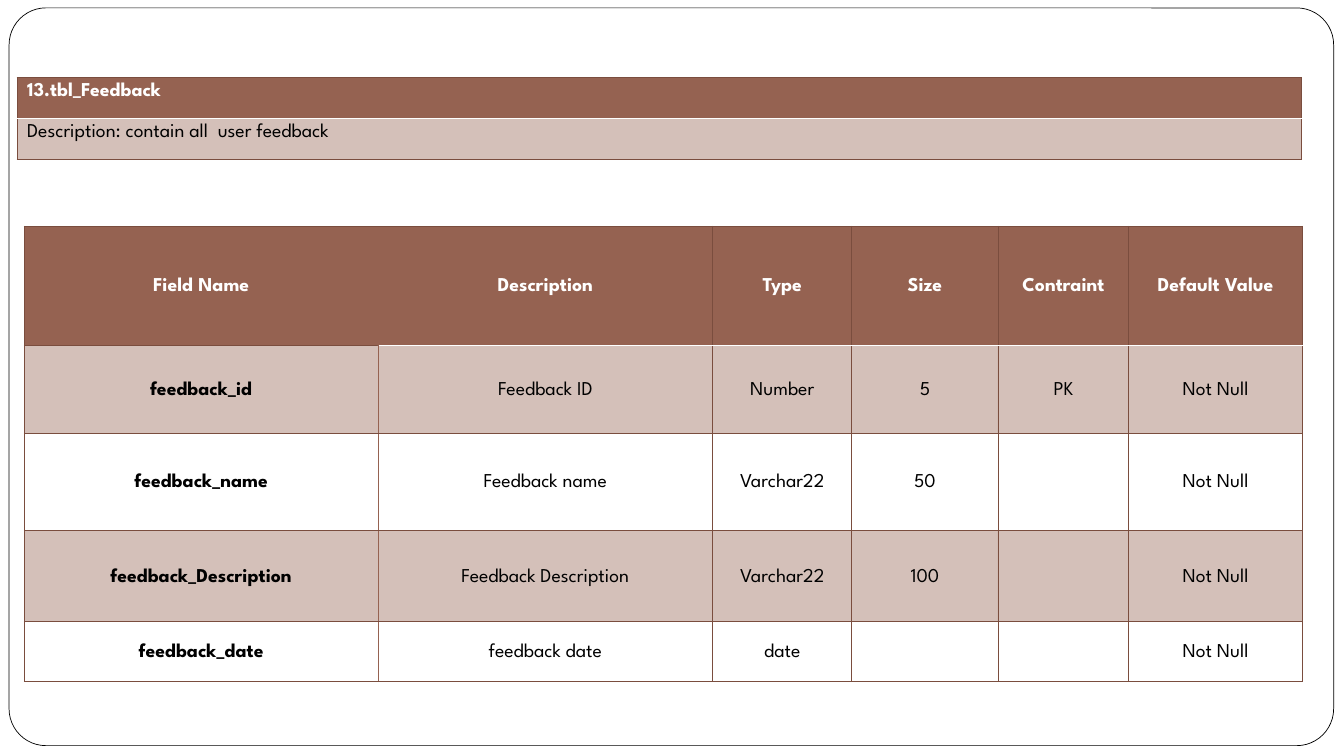
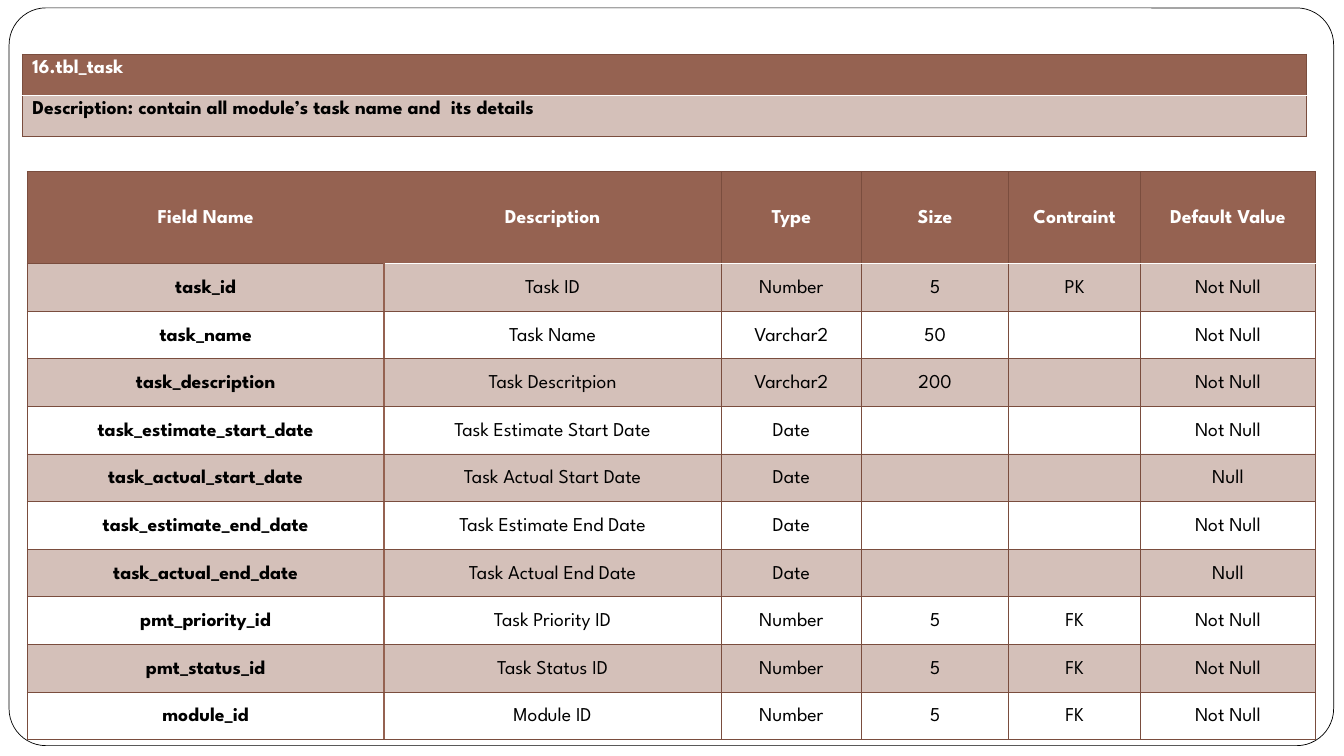
import pptx
import pptx.util
import pptx.dml.color
import pptx.enum.shapes
import pptx.enum.text
import pptx.oxml.ns
from lxml import etree

Cm = pptx.util.Cm
FONT = "League Spartan"
BROWN, EDGE, WHITE, BLACK = "956251", "7A4D3E", "FFFFFF", "000000"
TINT_ALPHA = 40
COLUMN_SHARES = [8.92, 8.43, 3.51, 3.68, 3.3, 4.37]
COLUMN_NAMES = ["Field Name", "Description", "Type", "Size", "Contraint", "Default Value"]
EDGE_LINE, INNER_LINE, WHITE_LINE = (EDGE, 0.75), (BROWN, 1), (WHITE, 1)

FEEDBACK = {
    "name": "13.tbl_Feedback",
    "description": "Description: contain all  user feedback",
    "description_bold": False,
    "banner_box": (0.43, 1.96, 32.36, 2.06),
    "fields_box": (0.61, 5.7, 32.21),
    "row_heights": [3, 2.21, 2.46, 2.29, 1.5],
    "fields": [
        ["feedback_id", "Feedback ID", "Number", "5", "PK", "Not Null"],
        ["feedback_name", "Feedback name", "Varchar22", "50", "", "Not Null"],
        ["feedback_Description", "Feedback Description", "Varchar22", "100", "", "Not Null"],
        ["feedback_date", "feedback date", "date", "", "", "Not Null"],
    ],
}
TASK = {
    "name": "16.tbl_task",
    "description": "Description: contain all module’s task name and  its details",
    "description_bold": True,
    "banner_box": (0.56, 1.37, 32.36, 2.06),
    "fields_box": (0.69, 4.32, 32.46),
    "row_heights": [2.32] + [1.2] * 10,
    "fields": [
        ["task_id", "Task ID", "Number", "5", "PK", "Not Null"],
        ["task_name", "Task Name", "Varchar2", "50", "", "Not Null"],
        ["task_description", "Task Descritpion", "Varchar2", "200", "", "Not Null"],
        ["task_estimate_start_date", "Task Estimate Start Date", "Date", "", "", "Not Null"],
        ["task_actual_start_date", "Task Actual Start Date", "Date", "", "", "Null"],
        ["task_estimate_end_date", "Task Estimate End Date", "Date", "", "", "Not Null"],
        ["task_actual_end_date", "Task Actual End Date", "Date", "", "", "Null"],
        ["pmt_priority_id", "Task Priority ID", "Number", "5", "FK", "Not Null"],
        ["pmt_status_id", "Task Status ID", "Number", "5", "FK", "Not Null"],
        ["module_id", "Module ID", "Number", "5", "FK", "Not Null"],
    ],
}


def color(value):
    return pptx.dml.color.RGBColor.from_string(value)


def write(cell, text, size=14, ink=BLACK, bold=False, align=None, spacing=None):
    paragraph = cell.text_frame.paragraphs[0]
    paragraph.alignment = align
    paragraph.line_spacing = spacing
    if text:
        run = paragraph.add_run()
        run.text = text
        run.font.name = FONT
        run.font.size = pptx.util.Pt(size)
        run.font.bold = bold
        run.font.color.rgb = color(ink)


def set_borders(cell, **lines):
    properties = cell._tc.get_or_add_tcPr()
    for side in "LRTB":
        line = lines.get(side, EDGE_LINE)
        width = int(pptx.util.Pt(line[1])) if line else 0
        border = etree.SubElement(properties, pptx.oxml.ns.qn(f"a:ln{side}"), w=str(width))
        if line:
            fill = etree.SubElement(border, pptx.oxml.ns.qn("a:solidFill"))
            etree.SubElement(fill, pptx.oxml.ns.qn("a:srgbClr"), val=line[0])
        else:
            etree.SubElement(border, pptx.oxml.ns.qn("a:noFill"))


def set_fill(cell, value=None, alpha=None):
    if value is None:
        cell.fill.background()
        return
    cell.fill.solid()
    cell.fill.fore_color.rgb = color(value)
    if alpha:
        tone = cell._tc.tcPr.find(".//" + pptx.oxml.ns.qn("a:solidFill") + "[last()]")
        tone = cell._tc.tcPr.find(pptx.oxml.ns.qn("a:solidFill"))[0]
        etree.SubElement(tone, pptx.oxml.ns.qn("a:alpha"), val=str(alpha * 1000))


def add_grid(slide, left, top, widths, heights):
    grid = slide.shapes.add_table(len(heights), len(widths), Cm(left), Cm(top),
                                  Cm(sum(widths)), Cm(sum(heights))).table
    grid.first_row = grid.horz_banding = False
    for column, width in zip(grid.columns, widths):
        column.width = Cm(width)
    for row, height in zip(grid.rows, heights):
        row.height = Cm(height)
    return grid


def add_frame(slide, left, top, width, height):
    frame = slide.shapes.add_shape(pptx.enum.shapes.MSO_SHAPE.ROUNDED_RECTANGLE,
                                   Cm(left), Cm(top), Cm(width), Cm(height))
    frame.adjustments[0] = 0.05
    frame.shadow.inherit = False
    frame.fill.solid()
    frame.fill.fore_color.rgb = color(WHITE)
    frame.line.color.rgb = color(BLACK)
    frame.line.width = pptx.util.Pt(0.5)


def add_fields(slide, left, top, width, heights, fields):
    scale = width / sum(COLUMN_SHARES)
    grid = add_grid(slide, left, top, [share * scale for share in COLUMN_SHARES], heights)
    for r, record in enumerate([COLUMN_NAMES] + fields):
        for c, text in enumerate(record):
            cell = grid.cell(r, c)
            cell.margin_left = cell.margin_right = Cm(0.18)
            cell.margin_top = cell.margin_bottom = 0
            cell.vertical_anchor = pptx.enum.text.MSO_ANCHOR.MIDDLE
            write(cell, text, ink=BLACK if r else WHITE, bold=r == 0 or c == 0,
                  align=pptx.enum.text.PP_ALIGN.CENTER, spacing=1.15)
            first_divider = INNER_LINE if r else None
            under_header = WHITE_LINE if c else EDGE_LINE
            set_borders(cell,
                        L=first_divider if c == 1 else EDGE_LINE,
                        R=first_divider if c == 0 else EDGE_LINE,
                        T=under_header if r == 1 else EDGE_LINE,
                        B=under_header if r == 0 else EDGE_LINE)
            if r == 0:
                set_fill(cell, BROWN)
            elif r % 2:
                set_fill(cell, BROWN, TINT_ALPHA)
            else:
                set_fill(cell)


def add_banner(slide, left, top, width, height, name, description, description_bold):
    grid = add_grid(slide, left, top, [width], [height / 2] * 2)
    name_cell, description_cell = grid.cell(0, 0), grid.cell(1, 0)
    write(name_cell, name, ink=WHITE, bold=True)
    set_borders(name_cell, B=WHITE_LINE)
    set_fill(name_cell, BROWN)
    write(description_cell, description, bold=description_bold)
    set_borders(description_cell, T=WHITE_LINE)
    set_fill(description_cell, BROWN, TINT_ALPHA)


def add_schema_slide(deck, schema):
    slide = deck.slides.add_slide(deck.slide_layouts[6])
    add_frame(slide, 0.23, 0.2, 33.38, 18.59)
    add_fields(slide, *schema["fields_box"], schema["row_heights"], schema["fields"])
    add_banner(slide, *schema["banner_box"], schema["name"], schema["description"],
               schema["description_bold"])


def main():
    deck = pptx.Presentation()
    deck.slide_width, deck.slide_height = Cm(33.87), Cm(19.05)
    for schema in (FEEDBACK, TASK):
        add_schema_slide(deck, schema)
    deck.save("out.pptx")


if __name__ == "__main__":
    main()
